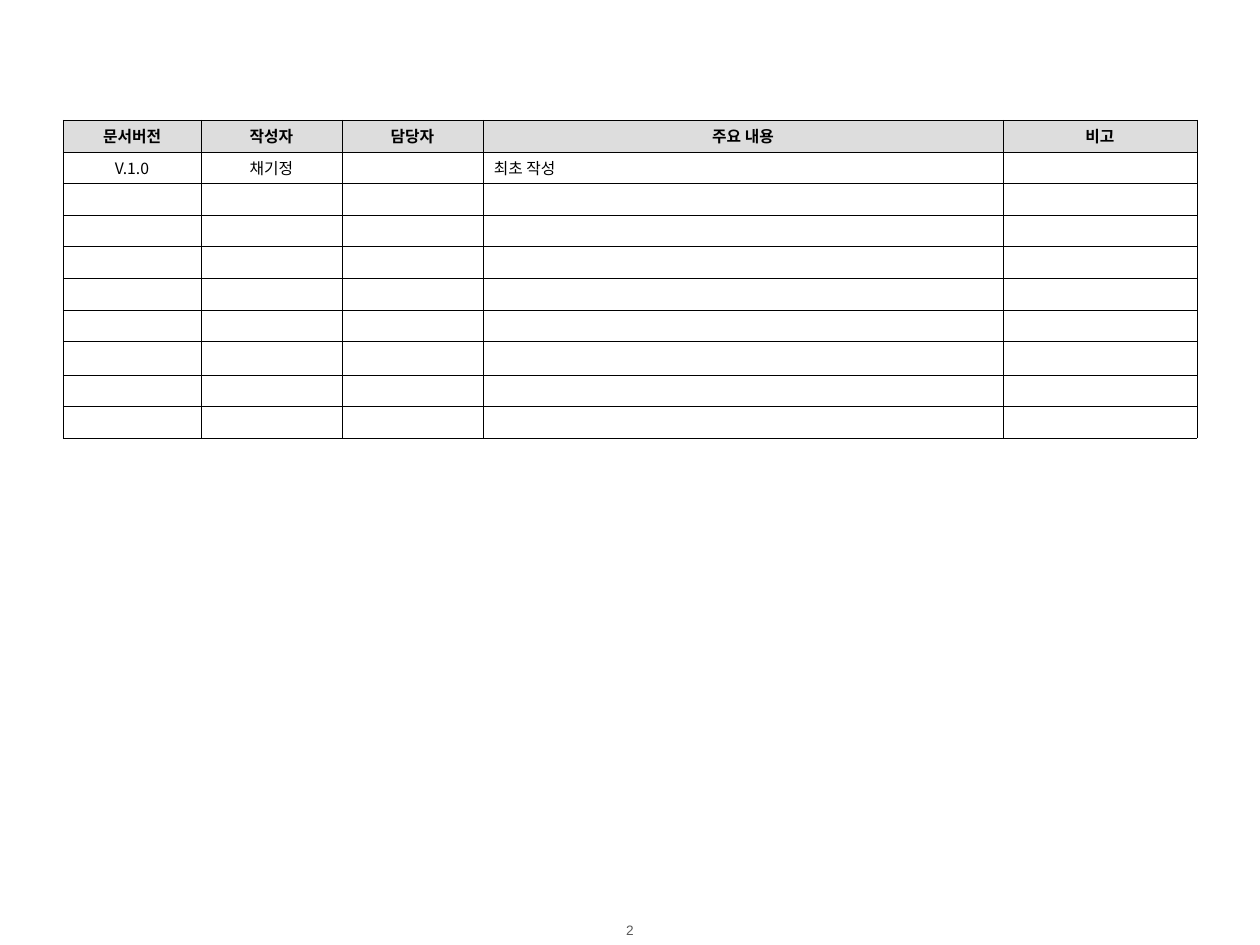
from dataclasses import dataclass

from lxml import etree
from pptx import Presentation, util as u
from pptx.dml.color import RGBColor
from pptx.enum import text
from pptx.oxml import ns

PX = 914400 // 126  # one pixel in EMU


@dataclass(frozen=True)
class Theme:
    font: str = "Noto Sans CJK KR"
    number_font: str = "Arial"
    ink: str = "000000"
    muted: str = "595959"
    header: str = "DDDDDD"
    body_size: float = 9
    number_size: float = 7.8
    border: float = 0.25


THEME = Theme()
CENTER, LEFT = text.PP_ALIGN.CENTER, text.PP_ALIGN.LEFT

COLUMNS = [138, 141, 141, 520, 194]
ROWS = [32, 31, 32, 31, 32, 32, 31, 34, 31, 32]
HISTORY = [
    ["문서버전", "작성자", "담당자", "주요 내용", "비고"],
    ["V.1.0", "채기정", "", "최초 작성", ""],
]
CONTENT_COLUMN = 3


def px(n):
    return u.Emu(n * PX)


def write(tf, words, size=THEME.body_size, font=THEME.font, color=THEME.ink,
          bold=False, align=CENTER, before=0):
    """Fill a text frame with one formatted paragraph."""
    p = tf.paragraphs[0]
    p.alignment = align
    p.space_before = u.Pt(before)
    if not words:
        end = etree.SubElement(p._p, ns.qn("a:endParaRPr"))
        end.set("sz", str(int(size * 100)))
        return
    r = p.add_run()
    r.text = words
    r.font.size, r.font.name, r.font.bold = u.Pt(size), font, bold
    r.font.color.rgb = RGBColor.from_string(color)
    etree.SubElement(r._r.rPr, ns.qn("a:ea")).set("typeface", font)


def set_insets(box, x, y):
    box.margin_left = box.margin_right = px(x)
    box.margin_top = box.margin_bottom = px(y)
    box.vertical_anchor = text.MSO_ANCHOR.MIDDLE


def add_borders(cell):
    """Draw the four cell edges, which must precede the fill."""
    tcPr = cell._tc.get_or_add_tcPr()
    for i, side in enumerate(("lnL", "lnR", "lnT", "lnB")):
        ln = etree.Element(ns.qn(f"a:{side}"), w=str(u.Pt(THEME.border)))
        fill = etree.SubElement(ln, ns.qn("a:solidFill"))
        etree.SubElement(fill, ns.qn("a:srgbClr")).set("val", THEME.ink)
        tcPr.insert(i, ln)


def format_cell(cell, words, header, align):
    set_insets(cell, 11, 2)
    write(cell.text_frame, words, bold=header, align=align, before=1.8)
    if header:
        cell.fill.solid()
        cell.fill.fore_color.rgb = RGBColor.from_string(THEME.header)
    else:
        cell.fill.background()
    add_borders(cell)


def add_history_table(s, x, y):
    frame = s.shapes.add_table(len(ROWS), len(COLUMNS), px(x), px(y),
                               px(sum(COLUMNS)), px(sum(ROWS)))
    table = frame.table
    table.horz_banding = False
    for column, width in zip(table.columns, COLUMNS):
        column.width = px(width)
    for i, height in enumerate(ROWS):
        table.rows[i].height = px(height)
        words = HISTORY[i] if i < len(HISTORY) else [""] * len(COLUMNS)
        for j, word in enumerate(words):
            align = LEFT if i and j == CONTENT_COLUMN else CENTER
            format_cell(table.cell(i, j), word, i == 0, align)


def add_page_number(s, number):
    sp = s.shapes.add_textbox(px(576), px(922), px(108), px(17))
    tf = sp.text_frame
    tf.word_wrap = True
    set_insets(tf, 0, 0)
    write(tf, number, size=THEME.number_size, font=THEME.number_font,
          color=THEME.muted)


def main():
    prs = Presentation()
    prs.slide_width, prs.slide_height = u.Inches(10), u.Inches(7.5)
    s = prs.slides.add_slide(prs.slide_layouts[6])

    # Page number
    add_page_number(s, "2")
    # Revision history
    add_history_table(s, 63, 120)

    prs.save("out.pptx")


main()
